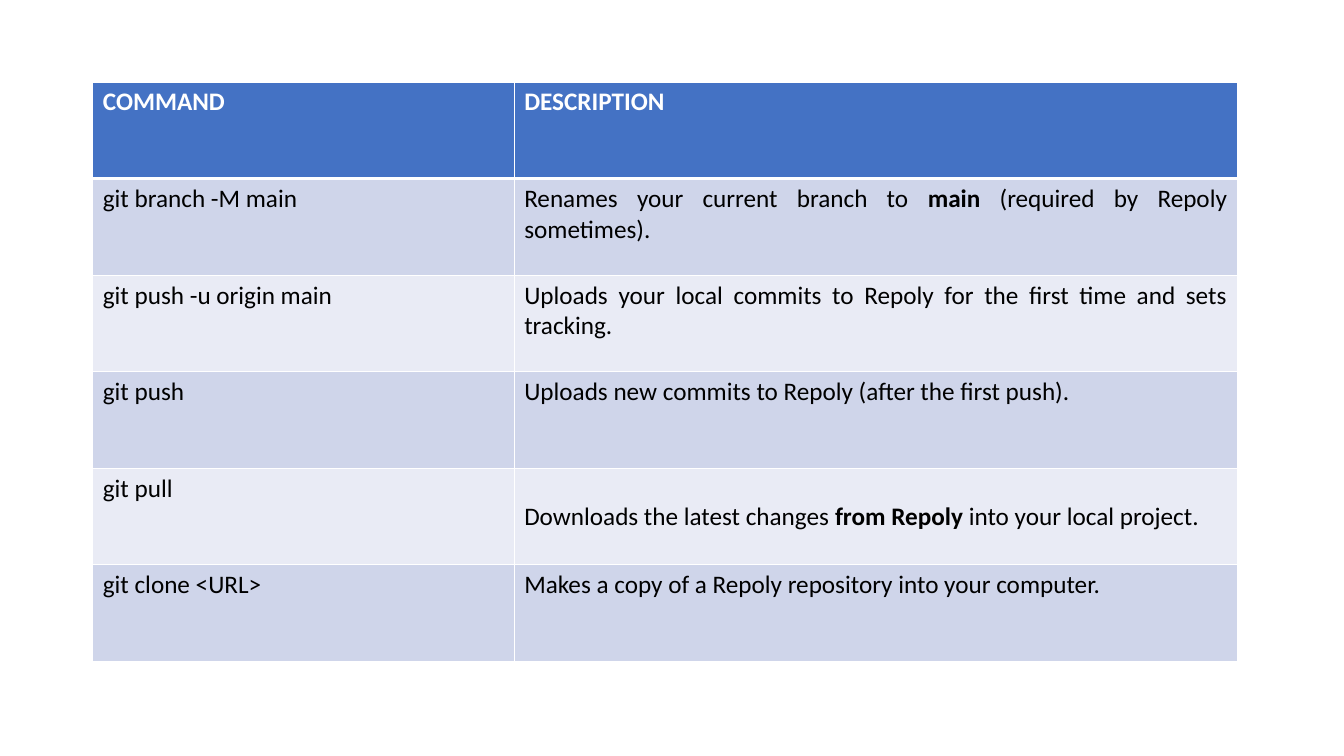
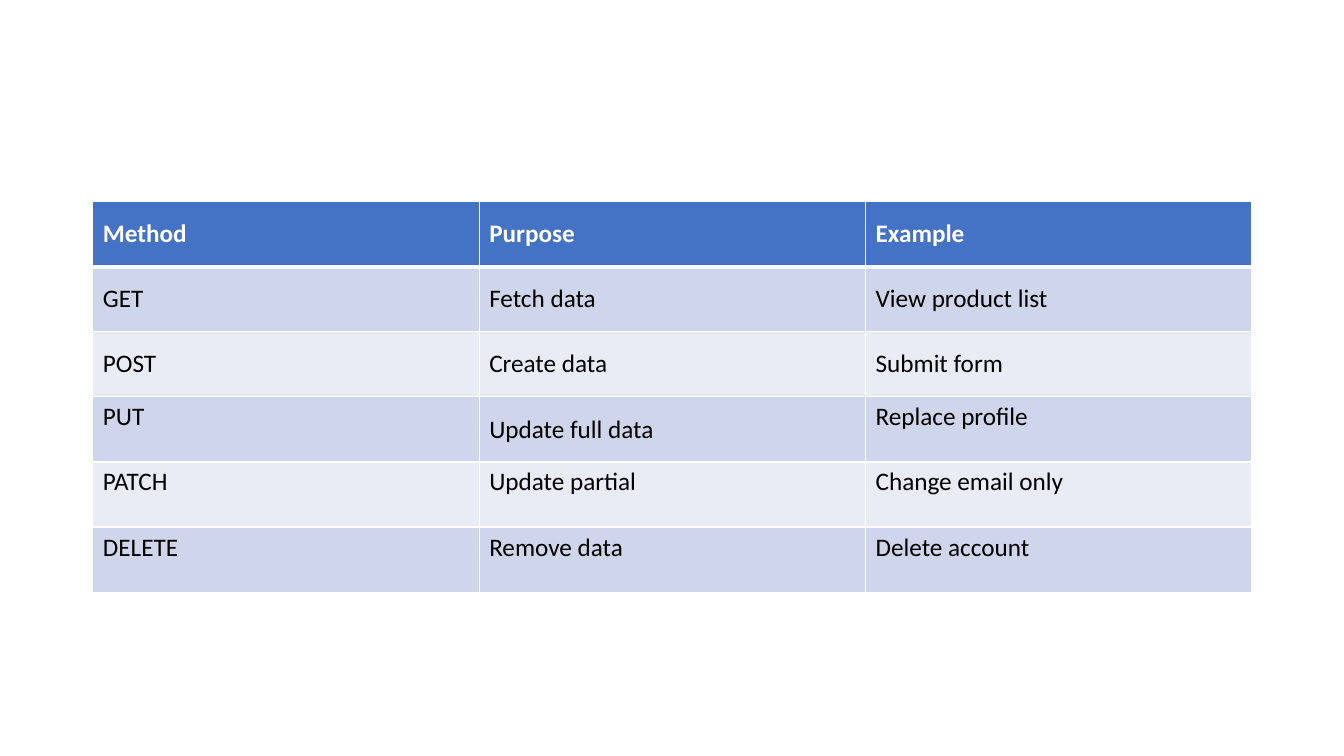
from lxml.etree import SubElement
from pptx import Presentation
from pptx.dml.color import RGBColor
from pptx.enum.text import MSO_ANCHOR, PP_ALIGN
from pptx.oxml.ns import qn
from pptx.util import Pt

# Text between ** marks is bold. "middle" lists the (row, column) cells centred vertically.
TABLES = [
    {
        "rows": [
            ("COMMAND", "DESCRIPTION"),
            ("git branch -M main",
             "Renames your current branch to **main** (required by Repoly sometimes)."),
            ("git push -u origin main",
             "Uploads your local commits to Repoly for the first time and sets tracking."),
            ("git push", "Uploads new commits to Repoly (after the first push)."),
            ("git pull",
             "Downloads the latest changes **from Repoly** into your local project."),
            ("git clone <URL>", "Makes a copy of a Repoly repository into your computer."),
        ],
        "top": 58.5,
        "column_widths": (301, 516.5),
        "row_height": 69,
        "align": PP_ALIGN.JUSTIFY,
        "middle": {(4, 1)},
    },
    {
        "rows": [
            ("Method", "Purpose", "Example"),
            ("GET", "Fetch data", "View product list"),
            ("POST", "Create data", "Submit form"),
            ("PUT", "Update full data", "Replace profile"),
            ("PATCH", "Update partial", "Change email only"),
            ("DELETE", "Remove data", "Delete account"),
        ],
        "top": 144,
        "column_widths": (276, 276, 276),
        "row_height": 46.5,
        "align": PP_ALIGN.LEFT,
        "middle": {(row, column) for row in range(3) for column in range(3)} | {(3, 1)},
    },
]

SLIDE_WIDTH, SLIDE_HEIGHT = 960, 540
TABLE_LEFT = 66.3
HEADER_FILL, BAND_FILLS = "4472C4", ("E9EBF5", "CFD5EA")
HEADER_TEXT, BODY_TEXT, BORDER = "FFFFFF", "000000", "FFFFFF"
THIN, THICK = 1, 3
FONT = {"name": "Calibri", "size": Pt(18)}


def rgb(value):
    return RGBColor.from_string(value)


def draw_borders(cell, row):
    """Draw thin borders, with a thick line between header and body."""
    widths = {
        "L": THIN,
        "R": THIN,
        "T": THICK if row == 1 else THIN,
        "B": THICK if row == 0 else THIN,
    }
    properties = cell._tc.get_or_add_tcPr()
    for side, width in widths.items():
        line = SubElement(properties, qn(f"a:ln{side}"), w=str(Pt(width)))
        SubElement(SubElement(line, qn("a:solidFill")), qn("a:srgbClr"), val=BORDER)


def write_text(cell, text, align, is_header):
    paragraph = cell.text_frame.paragraphs[0]
    paragraph.alignment = align
    for index, part in enumerate(text.split("**")):
        run = paragraph.add_run()
        run.text = part
        for attribute, value in FONT.items():
            setattr(run.font, attribute, value)
        run.font.bold = is_header or index % 2 == 1
        run.font.color.rgb = rgb(HEADER_TEXT if is_header else BODY_TEXT)


def add_banded_table(slide, content):
    rows, widths, height = content["rows"], content["column_widths"], content["row_height"]
    table = slide.shapes.add_table(
        len(rows), len(widths), Pt(TABLE_LEFT), Pt(content["top"]),
        Pt(sum(widths)), Pt(height * len(rows)),
    ).table
    for column, width in zip(table.columns, widths):
        column.width = Pt(width)
    for row, texts in enumerate(rows):
        table.rows[row].height = Pt(height)
        is_header = row == 0
        for column, text in enumerate(texts):
            cell = table.cell(row, column)
            draw_borders(cell, row)
            cell.fill.solid()
            cell.fill.fore_color.rgb = rgb(HEADER_FILL if is_header else BAND_FILLS[row % 2])
            is_middle = (row, column) in content["middle"]
            cell.vertical_anchor = MSO_ANCHOR.MIDDLE if is_middle else MSO_ANCHOR.TOP
            write_text(cell, text, content["align"], is_header)


def main():
    presentation = Presentation()
    presentation.slide_width = Pt(SLIDE_WIDTH)
    presentation.slide_height = Pt(SLIDE_HEIGHT)
    blank_layout = presentation.slide_layouts[6]
    for content in TABLES:
        add_banded_table(presentation.slides.add_slide(blank_layout), content)
    presentation.save("out.pptx")


if __name__ == "__main__":
    main()
